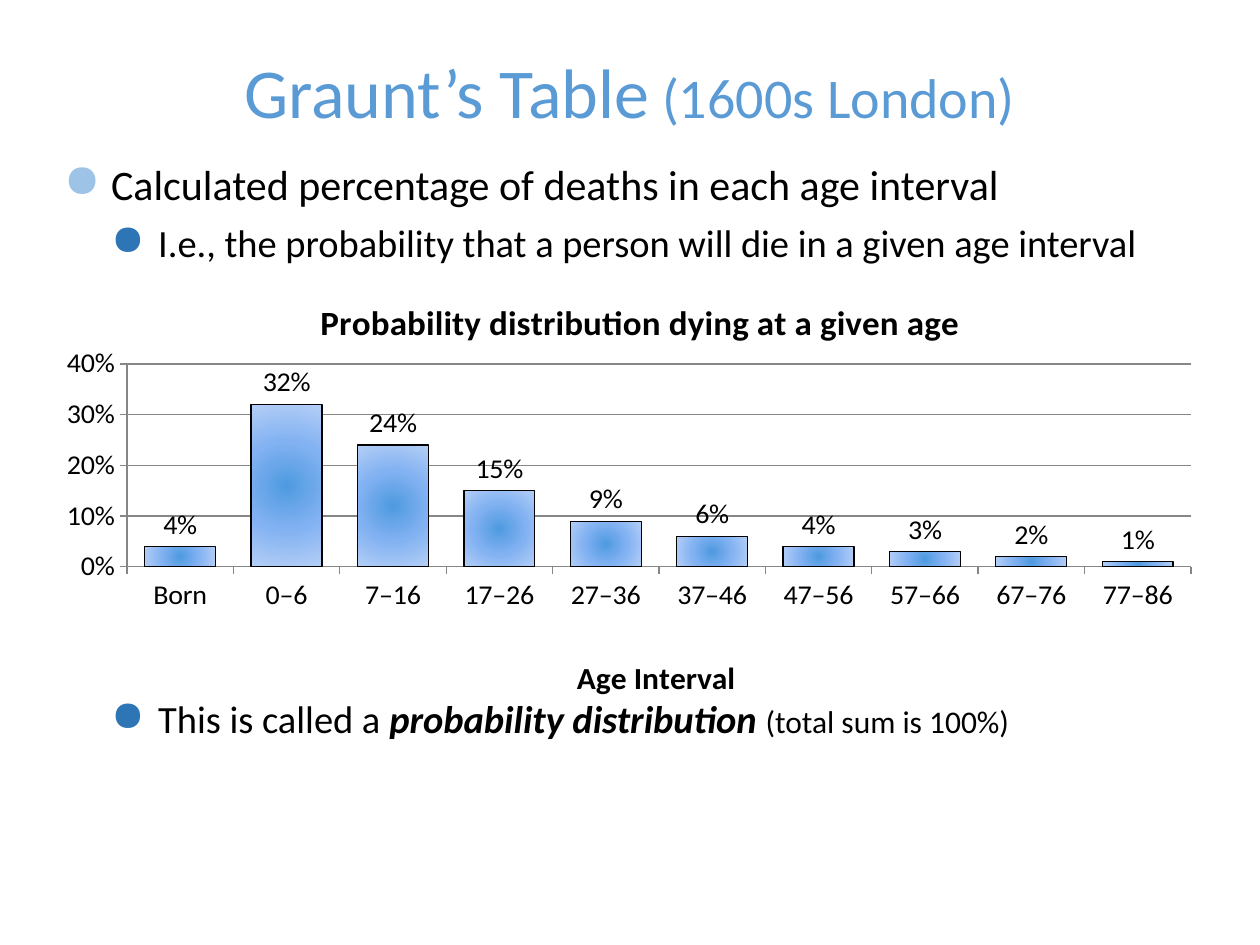
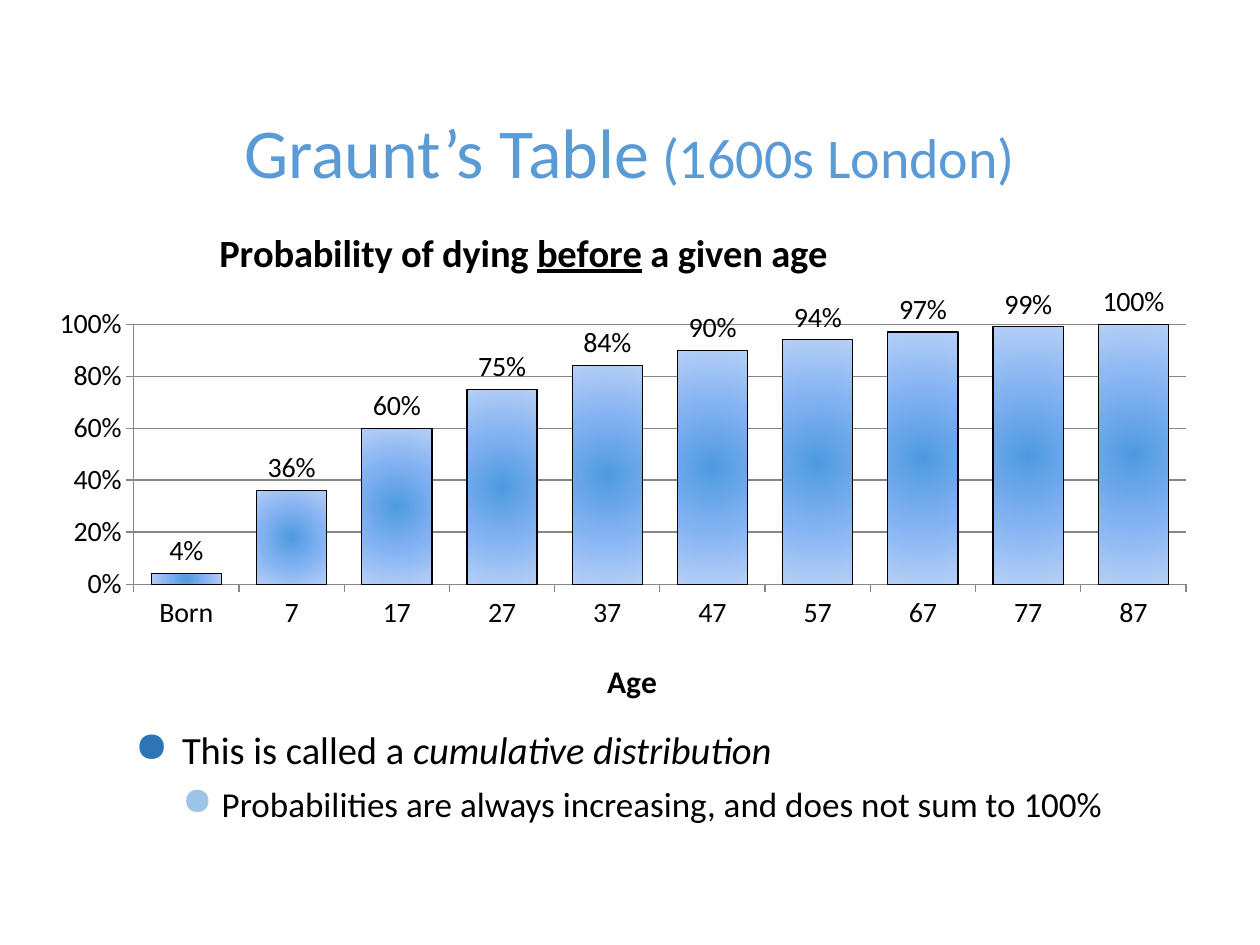
from pptx import Presentation
from pptx import util as u
from pptx.chart.data import CategoryChartData
from pptx.dml.color import RGBColor
from pptx.enum import chart as ch, text
from pptx.oxml import parse_xml
from pptx.oxml.ns import nsdecls, qn

FONT = "Calibri"
BLACK = RGBColor(0x00, 0x00, 0x00)
TITLE_BLUE = RGBColor(0x5B, 0x9B, 0xD5)
LIGHT_BLUE = RGBColor(0x9D, 0xC3, 0xE6)
DARK_BLUE = RGBColor(0x2E, 0x75, 0xB6)
AXIS_GREY = RGBColor(0x86, 0x86, 0x86)
BAR_STOPS = {0: RGBColor(0x4E, 0x9A, 0xE0), 50: RGBColor(0x82, 0xB2, 0xF2), 100: RGBColor(0xB5, 0xCF, 0xF6)}
TITLE_RUNS = [("Graunt’s Table", {"size": 40}), (" (1600s London)", {"size": 32})]
LEVELS = [
    {"left": 0.95, "hang": 0.95, "size": 24, "colour": LIGHT_BLUE},
    {"left": 1.9, "hang": 0.95, "size": 22, "colour": DARK_BLUE},
    {"left": 2.7, "hang": 0.8, "size": 20, "colour": LIGHT_BLUE},
]


def set_attrs(obj, **values):
    """Set each given value as an attribute of an object."""
    for name, value in values.items():
        setattr(obj, name, value)


def add_runs(p, runs, colour=BLACK, **defaults):
    """Append (wording, font values) runs to a paragraph."""
    for wording, values in runs:
        r = p.add_run()
        r.text = wording
        font = {"name": FONT, **defaults, **values}
        set_attrs(r.font, **{**font, "size": u.Pt(font["size"])})
        r.font.color.rgb = colour


def add_title(s, left, top, width, height):
    """Place and fill the title placeholder."""
    sp = s.shapes.title
    set_attrs(sp, left=u.Cm(left), top=u.Cm(top), width=u.Cm(width), height=u.Cm(height))
    tf = sp.text_frame
    set_attrs(tf, word_wrap=True, auto_size=text.MSO_AUTO_SIZE.NONE, vertical_anchor=text.MSO_ANCHOR.BOTTOM)
    p = tf.paragraphs[0]
    p.alignment = text.PP_ALIGN.CENTER
    add_runs(p, TITLE_RUNS, TITLE_BLUE)


def add_bullets(s, left, top, width, height, items):
    """Write (level, runs) items as a bulleted list."""
    tf = s.shapes.add_textbox(u.Cm(left), u.Cm(top), u.Cm(width), u.Cm(height)).text_frame
    tf.word_wrap = True
    for i, (level, runs) in enumerate(items):
        p = tf.add_paragraph() if i else tf.paragraphs[0]
        style = LEVELS[level]
        pPr = p._p.get_or_add_pPr()
        pPr.set("marL", str(u.Cm(style["left"])))
        pPr.set("indent", str(-u.Cm(style["hang"])))
        for tag in (f'buClr {nsdecls("a")}><a:srgbClr val="{style["colour"]}"/></a:buClr',
                    f'buSzPct {nsdecls("a")} val="110000"/', f'buChar {nsdecls("a")} char="●"/'):
            pPr.append(parse_xml(f"<a:{tag}>"))
        set_attrs(p, level=level, space_before=u.Pt(6 if i else 0))
        add_runs(p, runs, size=style["size"])


def set_layout(parent, index, **values):
    """Give a chart part a fixed place, as fractions of the chart."""
    for old in parent.findall(qn("c:layout")):
        parent.remove(old)
    target = '<c:layoutTarget val="inner"/>' if "w" in values else ""
    modes = "".join(f'<c:{k}Mode val="edge"/>' for k in values if k in "xy")
    sizes = "".join(f'<c:{k} val="{v}"/>' for k, v in values.items())
    parent.insert(index, parse_xml(
        f'<c:layout {nsdecls("c")}><c:manualLayout>{target}{modes}{sizes}</c:manualLayout></c:layout>'))


def fill_title(title, runs, size, place):
    """Write a bold chart or axis title at an (x, y) place."""
    add_runs(title.text_frame.paragraphs[0], runs, size=size, bold=True)
    set_layout(title._element, 1, x=place[0], y=place[1])


def style_bars(series):
    """Give bars a radial gradient and a thin black outline."""
    stops = "".join(f'<a:gs pos="{pos * 1000}"><a:srgbClr val="{rgb}"/></a:gs>' for pos, rgb in BAR_STOPS.items())
    series._element.get_or_add_spPr().insert(0, parse_xml(
        f'<a:gradFill {nsdecls("a")} rotWithShape="1"><a:gsLst>{stops}</a:gsLst><a:path path="circle">'
        '<a:fillToRect l="50000" t="50000" r="50000" b="50000"/></a:path></a:gradFill>'))
    series.format.line.color.rgb = BLACK
    series.format.line.width = u.Pt(0.75)


def add_percent_chart(s, left, top, width, height, bars, heading, axis_heading, plot, top_value, step):
    """Add a column chart of percentages, with its title and axis title."""
    data = CategoryChartData(number_format="0%")
    data.categories = list(bars)
    data.add_series("Series 1", [percent / 100 for percent in bars.values()])
    chart = s.shapes.add_chart(ch.XL_CHART_TYPE.COLUMN_CLUSTERED, u.Cm(left), u.Cm(top),
                               u.Cm(width), u.Cm(height), data).chart
    set_attrs(chart, has_legend=False, has_title=True)
    set_attrs(chart.font, name=FONT, size=u.Pt(18))
    chart.font.color.rgb = BLACK
    fill_title(chart.chart_title, **heading)
    x_axis, y_axis = chart.category_axis, chart.value_axis
    fill_title(x_axis.axis_title, **axis_heading)
    set_attrs(y_axis, minimum_scale=0, maximum_scale=top_value, major_unit=step, has_major_gridlines=True)
    set_attrs(y_axis.tick_labels, number_format="0%", number_format_is_linked=False)
    for axis in (x_axis, y_axis):
        set_attrs(axis, major_tick_mark=ch.XL_TICK_MARK.OUTSIDE, minor_tick_mark=ch.XL_TICK_MARK.NONE)
        axis.tick_labels.font.size = u.Pt(16)
    for part in (x_axis, y_axis, y_axis.major_gridlines):
        part.format.line.color.rgb = AXIS_GREY
        part.format.line.width = u.Pt(0.75)
    bar_plot = chart.plots[0]
    set_attrs(bar_plot, gap_width=50, vary_by_categories=False, has_data_labels=True)
    set_attrs(bar_plot.data_labels, show_value=True, number_format="0%", number_format_is_linked=False,
              position=ch.XL_LABEL_POSITION.OUTSIDE_END)
    bar_plot.data_labels.font.size = u.Pt(16)
    style_bars(bar_plot.series[0])
    set_layout(chart._chartSpace.chart.plotArea, 0, **plot)


def build_distribution(s):
    """Fill the slide on deaths in each age interval."""
    add_title(s, 1.52, -0.91, 22.35, 3.71)
    add_bullets(s, 1.04, 3.07, 23.16, 2.3, [
        (0, [("Calculated percentage of deaths in each age interval", {})]),
        (1, [("I.e., the probability that a person will die in a given age interval", {})]),
    ])
    add_bullets(s, 1.04, 13.89, 23.16, 1.2, [
        (1, [("This is called a ", {}), ("probability distribution ", {"bold": True, "italic": True}),
             ("(total sum is 100%)", {"size": 18})]),
    ])
    deaths = {"Born": 4, "0–6": 32, "7–16": 24, "17–26": 15, "27–36": 9,
              "37–46": 6, "47–56": 4, "57–66": 3, "67–76": 2, "77–86": 1}
    add_percent_chart(
        s, 0.91, 5.46, 23.57, 8.79, deaths,
        {"runs": [("Probability distribution dying at a given age", {})], "size": 20, "place": (0.23, 0.05)},
        {"runs": [("Age Interval", {})], "size": 18, "place": (0.45, 0.9)},
        {"x": 0.07, "y": 0.22, "w": 0.91, "h": 0.48}, 0.4, 0.1)


def build_cumulative(s):
    """Fill the slide on deaths before each age."""
    add_title(s, 1.52, 0.3, 22.35, 3.71)
    add_bullets(s, 1.52, 14.51, 22.35, 2.3, [
        (1, [("This is called a ", {}), ("cumulative distribution", {"italic": True})]),
        (2, [("Probabilities are always increasing, and does not sum to 100%", {})]),
    ])
    deaths = {"Born": 4, "7": 36, "17": 60, "27": 75, "37": 84, "47": 90, "57": 94, "67": 97, "77": 99, "87": 100}
    add_percent_chart(
        s, 0.81, 4.42, 23.57, 10.08, deaths,
        {"runs": [("Probability of dying ", {}), ("before", {"underline": True}), (" a given age", {})],
         "size": 22, "place": (0.15, 0.01)},
        {"runs": [("Age", {})], "size": 18, "place": (0.48, 0.87)},
        {"x": 0.08, "y": 0.21, "w": 0.9, "h": 0.52}, 1, 0.2)


def main():
    """Build and save the presentation."""
    prs = Presentation()
    set_attrs(prs, slide_width=u.Cm(25.4), slide_height=u.Cm(19.05))
    for build in (build_distribution, build_cumulative):
        build(prs.slides.add_slide(prs.slide_layouts[5]))
    prs.save("out.pptx")


if __name__ == "__main__":
    main()
